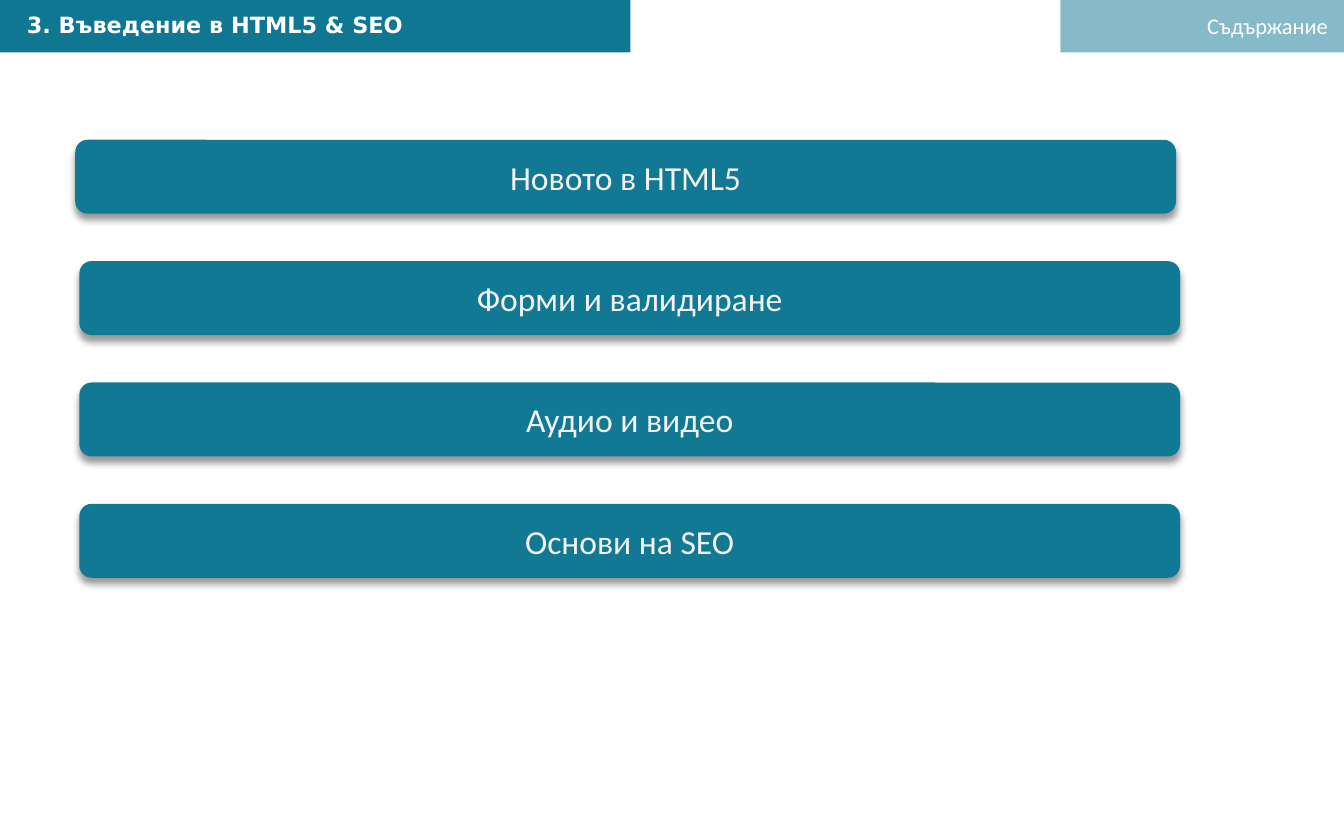
from dataclasses import dataclass

from lxml import etree
from pptx import Presentation
from pptx.dml.color import RGBColor
from pptx.enum.shapes import MSO_SHAPE
from pptx.enum.text import MSO_ANCHOR, MSO_AUTO_SIZE, PP_ALIGN
from pptx.oxml.ns import qn
from pptx.util import Inches, Pt

RECT, ROUNDED = MSO_SHAPE.RECTANGLE, MSO_SHAPE.ROUNDED_RECTANGLE
TOP, MIDDLE = MSO_ANCHOR.TOP, MSO_ANCHOR.MIDDLE
LEFT, CENTER, RIGHT = PP_ALIGN.LEFT, PP_ALIGN.CENTER, PP_ALIGN.RIGHT

HEADING = "3. Въведение в HTML5 & SEO"
SECTION = "Съдържание"
TOPICS = ["Новото в HTML5", "Форми и валидиране", "Аудио и видео", "Основи на SEO"]


@dataclass(frozen=True)
class Theme:
    header: str = "0F7792"
    topic: str = "127994"
    header_text: str = "FFFFFF"
    topic_text: str = "F2F2F2"
    shadow: str = "000000"
    heading_font: str = "DejaVu Sans"
    body_font: str = "Calibri"
    header_size: int = 12
    topic_size: int = 18


THEME = Theme()
WIDTH, HEIGHT = 10, 6.25
HEADER_HEIGHT = 0.39
HEADING_WIDTH, SECTION_WIDTH = 4.69, 2.11
TOPIC_LEFT, FIRST_TOPIC_LEFT = 0.59, 0.56
TOPIC_TOP, TOPIC_PITCH = 1.04, 0.903
TOPIC_WIDTH, TOPIC_HEIGHT = 8.19, 0.55


def add_panel(slide, kind, box, color):
    panel = slide.shapes.add_shape(kind, *map(Inches, box))
    panel.shadow.inherit = False
    panel.fill.solid()
    panel.fill.fore_color.rgb = RGBColor.from_string(color)
    panel.line.fill.background()
    return panel


def add_color_alpha(color_element, percent):
    etree.SubElement(color_element, qn("a:alpha"), val=str(percent * 1000))


def add_drop_shadow(panel):
    effects = panel._element.spPr.find(qn("a:effectLst"))
    shadow = etree.SubElement(
        effects, qn("a:outerShdw"), blurRad=str(Pt(4)), dist=str(Pt(3)),
        dir=str(90 * 60000), rotWithShape="0")
    color = etree.SubElement(shadow, qn("a:srgbClr"), val=THEME.shadow)
    add_color_alpha(color, 40)


def write(shape, text, font, size, color, align, anchor=TOP, bold=False, wrap=True):
    frame = shape.text_frame
    frame.word_wrap = wrap
    frame.auto_size = MSO_AUTO_SIZE.NONE
    frame.vertical_anchor = anchor
    paragraph = frame.paragraphs[0]
    paragraph.alignment = align
    run = paragraph.add_run()
    run.text = text
    run.font.name = font
    run.font.size = Pt(size)
    run.font.bold = bold
    run.font.color.rgb = RGBColor.from_string(color)


def add_header(slide):
    section_box = (WIDTH - SECTION_WIDTH, 0, SECTION_WIDTH, HEADER_HEIGHT)
    section_bar = add_panel(slide, RECT, section_box, THEME.header)
    add_color_alpha(section_bar._element.spPr.find(qn("a:solidFill"))[0], 50)
    add_panel(slide, RECT, (0, 0, HEADING_WIDTH, HEADER_HEIGHT), THEME.header)

    heading = slide.shapes.title
    heading.left, heading.top, heading.width, heading.height = map(
        Inches, (0.1, 0.03, 4.51, 0.3))
    slide.shapes._spTree.append(heading._element)  # bring in front of its bar
    write(heading, HEADING, THEME.heading_font, THEME.header_size,
          THEME.header_text, LEFT, bold=True)

    section = slide.shapes.add_textbox(*map(Inches, (8.84, 0.04, 1.14, 0.3)))
    write(section, SECTION, THEME.body_font, THEME.header_size,
          THEME.header_text, RIGHT, wrap=False)


def add_topics(slide):
    for row, topic in enumerate(TOPICS):
        left = TOPIC_LEFT if row else FIRST_TOPIC_LEFT
        box = (left, TOPIC_TOP + row * TOPIC_PITCH, TOPIC_WIDTH, TOPIC_HEIGHT)
        button = add_panel(slide, ROUNDED, box, THEME.topic)
        add_drop_shadow(button)
        write(button, topic, THEME.body_font, THEME.topic_size,
              THEME.topic_text, CENTER, anchor=MIDDLE)


def main():
    deck = Presentation()
    deck.slide_width, deck.slide_height = Inches(WIDTH), Inches(HEIGHT)
    title_only = deck.slide_layouts[5]
    slide = deck.slides.add_slide(title_only)
    add_header(slide)
    add_topics(slide)
    deck.save("out.pptx")


if __name__ == "__main__":
    main()
